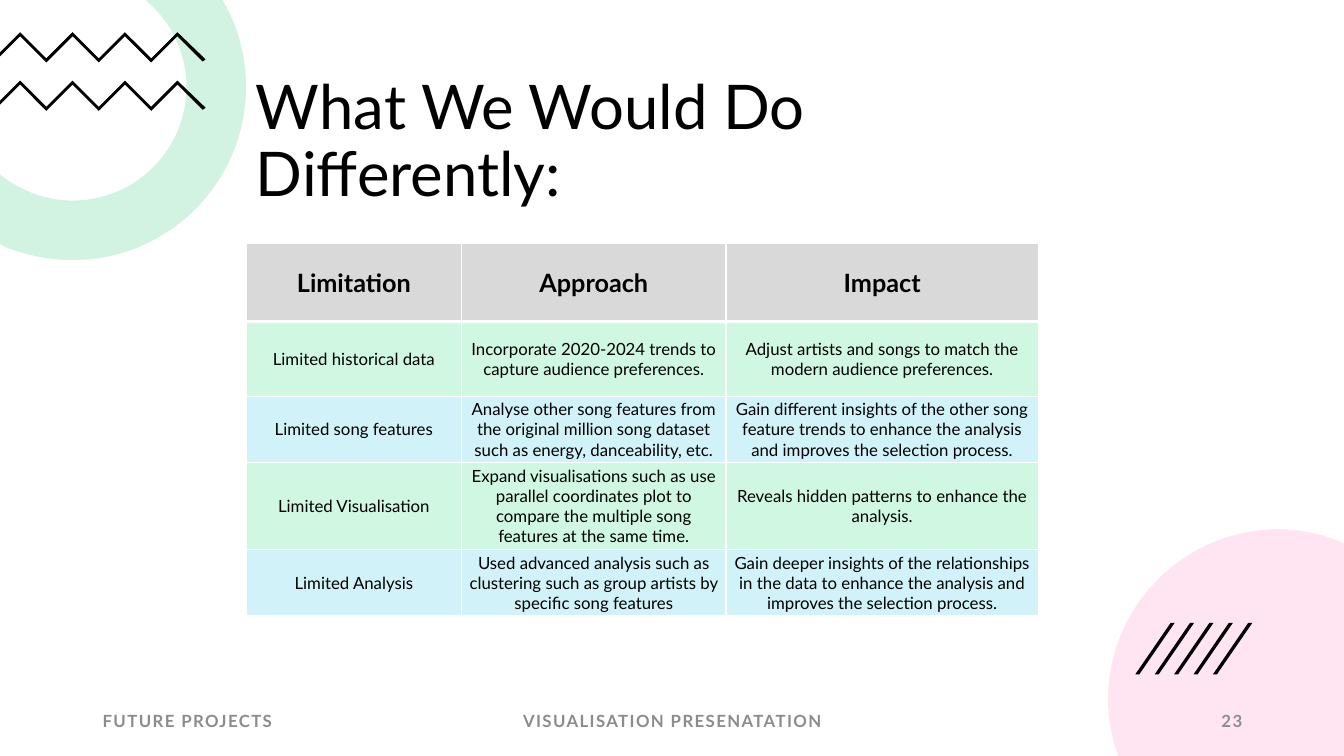
import lxml.etree
import pptx
import pptx.dml.color
import pptx.enum.text
import pptx.oxml.ns
import pptx.util

Inches = pptx.util.Inches
ALIGN = pptx.enum.text.PP_ALIGN
ANCHOR = pptx.enum.text.MSO_ANCHOR
qn = pptx.oxml.ns.qn

TITLE = "What We Would Do Differently:"
FOOTERS = [
    ("FUTURE PROJECTS", 0.92, 3, ALIGN.LEFT),
    ("VISUALISATION PRESENATATION", 4.42, 4.5, ALIGN.CENTER),
    ("23", 9.42, 3, ALIGN.RIGHT),
]
IMPROVEMENTS = [
    ("Limitation", "Approach", "Impact"),
    ("Limited historical data",
     "Incorporate 2020-2024 trends to capture audience preferences.",
     "Adjust artists and songs to match the modern audience preferences."),
    ("Limited song features",
     "Analyse other song features from the original million song dataset such as energy, danceability, etc.",
     "Gain different insights of the other song feature trends to enhance the analysis and improves the selection process."),
    ("Limited Visualisation",
     "Expand visualisations such as use parallel coordinates plot to compare the multiple song features at the same time.",
     "Reveals hidden patterns to enhance the analysis."),
    ("Limited Analysis",
     "Used advanced analysis such as clustering such as group artists by specific song features",
     "Gain deeper insights of the relationships in the data to enhance the analysis and improves the selection process."),
]
TABLE_BOX = (2.44, 2.41, 7.85, 3.71)
COLUMN_WIDTHS = [2.14, 2.62, 3.1]
ROW_HEIGHTS = [0.78, 0.74, 0.52, 0.74, 0.52]

RING = [
    [(1.45, 0)], [(2.21, 0)], [(2.23, 0.04)],
    [(2.37, 0.29), (2.44, 0.57), (2.44, 0.86)],
    [(2.44, 1.81), (1.67, 2.58), (0.72, 2.58)],
    [(0.48, 2.58), (0.26, 2.53), (0.05, 2.45)],
    [(0, 2.42)], [(0, 1.73)],
    [(0.2, 1.89), (0.45, 1.99), (0.72, 1.99)],
    [(1.34, 1.99), (1.85, 1.49), (1.85, 0.86)],
    [(1.85, 0.55), (1.72, 0.27), (1.52, 0.07)],
]
CORNER_DISC = [
    [(12.68, 5.25)],
    [(12.85, 5.25), (13.02, 5.28), (13.18, 5.33)],
    [(13.33, 5.39)], [(13.33, 7.5)], [(11.09, 7.5)], [(11.07, 7.44)],
    [(11.02, 7.28), (10.99, 7.12), (10.99, 6.94)],
    [(10.99, 6.01), (11.75, 5.25), (12.68, 5.25)],
]

THEME = {
    "font": "Lato",
    "ink": "000000", "paper": "FFFFFF", "muted": "8C8C8C",
    "green": "21C46B", "pink": "FF80BD",
    "header": "D9D9D9", "bands": ["CFF7E1", "D0F2F8"],
    "title_size": 44, "header_size": 18, "small_size": 12,
}


def rgb(color):
    return pptx.dml.color.RGBColor.from_string(color)


def write_text(frame, text, size, color=THEME["ink"], bold=False, align=ALIGN.LEFT,
               line_spacing=None, tracking=None):
    frame.word_wrap = True
    paragraph = frame.paragraphs[0]
    paragraph.alignment = align
    if line_spacing:
        paragraph.line_spacing = line_spacing
    run = paragraph.add_run()
    run.text = text
    run.font.name = THEME["font"]
    run.font.size = pptx.util.Pt(size)
    run.font.bold = bold
    run.font.color.rgb = rgb(color)
    if tracking:
        run.font._element.set("spc", str(tracking * 100))


def add_label(slide, text, box, anchor, **text_format):
    label = slide.shapes.add_textbox(*map(Inches, box))
    label.text_frame.vertical_anchor = anchor
    write_text(label.text_frame, text, **text_format)


def bend_curves(outline, segments):
    strokes = iter(outline._element.findall(".//" + qn("a:lnTo")))
    for segment in segments[1:]:
        parts = [next(strokes) for point in segment]
        if len(parts) == 3:
            curve = lxml.etree.Element(qn("a:cubicBezTo"))
            parts[0].addprevious(curve)
            for part in parts:
                curve.append(part[0])
                part.getparent().remove(part)


def add_outline(slide, segments, color, alpha=None):
    corners = [(Inches(x), Inches(y)) for segment in segments for x, y in segment]
    builder = slide.shapes.build_freeform(*corners[0])
    builder.add_line_segments(corners[1:], close=True)
    outline = builder.convert_to_shape()
    bend_curves(outline, segments)
    outline.shadow.inherit = False
    outline.fill.solid()
    outline.fill.fore_color.rgb = rgb(color)
    outline.line.fill.background()
    if alpha:
        tint = outline._element.spPr.find(".//" + qn("a:srgbClr"))
        lxml.etree.SubElement(tint, qn("a:alpha"), val=str(alpha * 1000))


def add_polygon(slide, points):
    add_outline(slide, [[point] for point in points], THEME["ink"])


def add_zigzag(slide, top):
    pitch, thickness = 0.26, 0.04
    upper = [(0.2 + pitch * k, top + pitch * (k % 2)) for k in range(7)]
    lower = [(x, y + thickness) for x, y in reversed(upper)]
    tip = [(2.04, top + 0.27), (2.01, top + 0.29)]
    edge = [(0, top + 0.24), (0, top + 0.2)]
    add_polygon(slide, upper + tip + lower + edge)


def add_slashes(slide, count=5):
    first, last, top, bottom = 11.26, 12.03, 6.18, 6.69
    for k in range(count):
        x = first + (last - first) * k / (count - 1)
        add_polygon(slide, [(x + 0.04, bottom), (x, bottom), (x + 0.35, top), (x + 0.39, top)])


def set_borders(cell, widths):
    properties = cell._tc.get_or_add_tcPr()
    for index, (side, width) in enumerate(zip("LRTB", widths)):
        border = lxml.etree.Element(qn("a:ln" + side), w=str(pptx.util.Pt(width)))
        fill = lxml.etree.SubElement(border, qn("a:solidFill"))
        lxml.etree.SubElement(fill, qn("a:srgbClr"), val=THEME["paper"])
        properties.insert(index, border)


def add_improvements(slide):
    improvements = slide.shapes.add_table(len(ROW_HEIGHTS), len(COLUMN_WIDTHS), *map(Inches, TABLE_BOX))
    table = improvements.table
    table.horz_banding = False
    for column, width in zip(table.columns, COLUMN_WIDTHS):
        column.width = Inches(width)
    for r, (row, height) in enumerate(zip(table.rows, ROW_HEIGHTS)):
        row.height = Inches(height)
        is_header = r == 0
        for cell, text in zip(row.cells, IMPROVEMENTS[r]):
            cell.vertical_anchor = ANCHOR.MIDDLE
            if not is_header:
                cell.margin_left = cell.margin_right = Inches(0.06)
                cell.margin_top = cell.margin_bottom = Inches(0.03)
            cell.fill.solid()
            cell.fill.fore_color.rgb = rgb(THEME["header"] if is_header else THEME["bands"][(r - 1) % 2])
            set_borders(cell, (1, 1, 3 if r == 1 else 1, 3 if is_header else 1))
            write_text(cell.text_frame, text, bold=is_header, align=ALIGN.CENTER,
                       size=THEME["header_size" if is_header else "small_size"])
    improvements.width, improvements.height = map(Inches, TABLE_BOX[2:])


def main():
    presentation = pptx.Presentation()
    presentation.slide_width = Inches(13.33)
    presentation.slide_height = Inches(7.5)
    slide = presentation.slides.add_slide(presentation.slide_layouts[6])
    add_outline(slide, RING, THEME["green"], alpha=20)
    for top in (0.32, 0.8):
        add_zigzag(slide, top)
    add_outline(slide, CORNER_DISC, THEME["paper"])
    add_outline(slide, CORNER_DISC, THEME["pink"], alpha=20)
    add_label(slide, TITLE, (2.44, 0.69, 8.24, 1.44), ANCHOR.BOTTOM,
              size=THEME["title_size"], line_spacing=0.9)
    for text, left, width, align in FOOTERS:
        add_label(slide, text, (left, 6.95, width, 0.4), ANCHOR.MIDDLE, size=THEME["small_size"],
                  color=THEME["muted"], bold=True, align=align, tracking=1)
    add_slashes(slide)
    add_improvements(slide)
    presentation.save("out.pptx")


if __name__ == "__main__":
    main()
